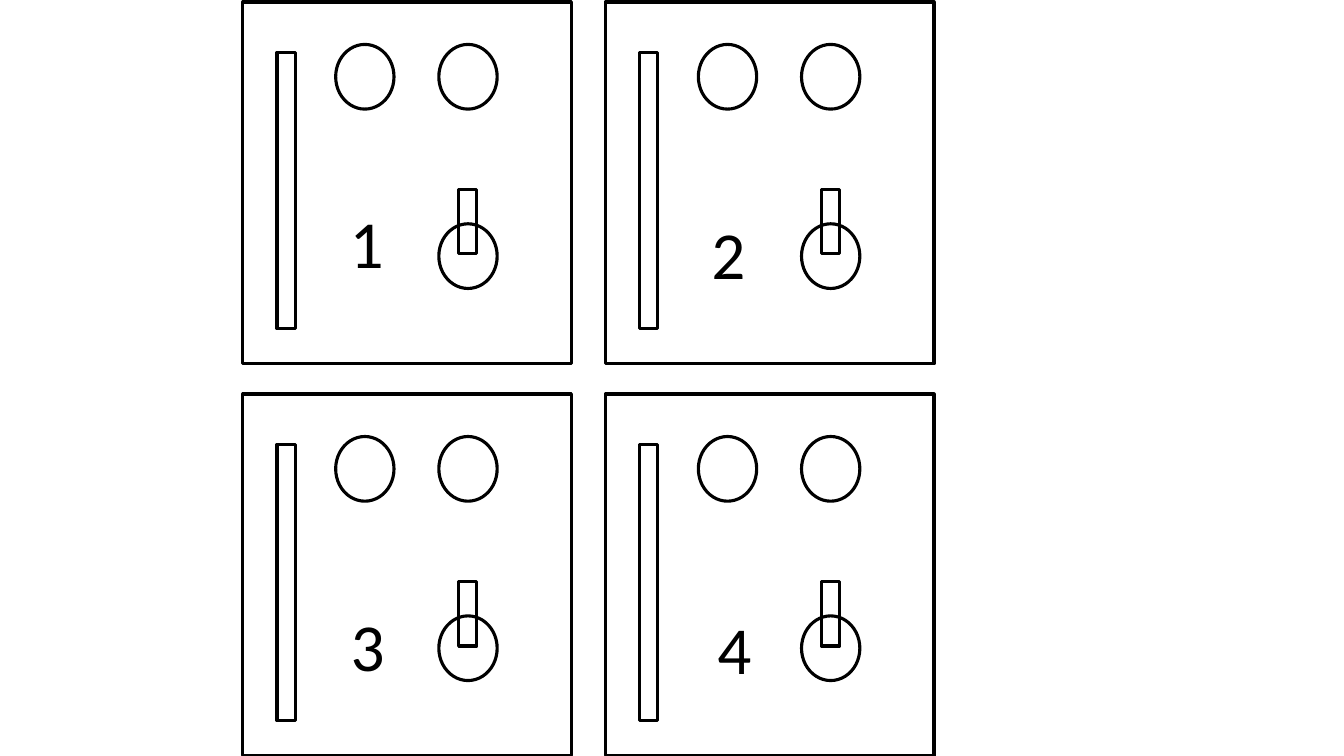
from pptx import Presentation
from pptx.dml.color import RGBColor
from pptx.enum.shapes import MSO_SHAPE
from pptx.enum.text import MSO_AUTO_SIZE
from pptx.util import Cm, Pt

COLORS = {"ink": "000000"}
INK = RGBColor.from_string(COLORS["ink"])
LEFT, TOP = 6.12, 0.05
STEP_X, STEP_Y = 9.14, 9.88

RECT, OVAL = MSO_SHAPE.RECTANGLE, MSO_SHAPE.OVAL
PARTS = [
    (RECT, 0, 0, 8.28, 9.12),
    (RECT, 0.86, 1.27, 0.46, 6.96),
    (OVAL, 2.34, 1.07, 1.47, 1.63),
    (OVAL, 4.94, 1.07, 1.47, 1.63),
    (OVAL, 4.94, 5.59, 1.47, 1.63),
    (RECT, 5.44, 4.72, 0.46, 1.63),
]
LABELS = [
    ("1", 8.56, 4.95),
    ("2", 17.68, 5.23),
    ("3", 8.59, 15.11),
    ("4", 17.83, 15.19),
]

prs = Presentation()
prs.slide_width, prs.slide_height = Cm(33.87), Cm(19.05)
slide = prs.slides.add_slide(prs.slide_layouts[6])

for row in range(2):
    for col in range(2):
        for kind, x, y, width, height in PARTS:
            part = slide.shapes.add_shape(
                kind,
                Cm(LEFT + col * STEP_X + x),
                Cm(TOP + row * STEP_Y + y),
                Cm(width),
                Cm(height),
            )
            part.shadow.inherit = False
            part.fill.background()
            part.line.color.rgb = INK
            part.line.width = Pt(2.25)

for text, x, y in LABELS:
    label = slide.shapes.add_textbox(Cm(x), Cm(y), Cm(1.37), Cm(2.31))
    frame = label.text_frame
    frame.word_wrap = False
    frame.auto_size = MSO_AUTO_SIZE.SHAPE_TO_FIT_TEXT
    line = frame.paragraphs[0]
    line.text = text
    line.font.name = "Calibri"
    line.font.size = Pt(48)
    line.font.color.rgb = INK

prs.save("out.pptx")
